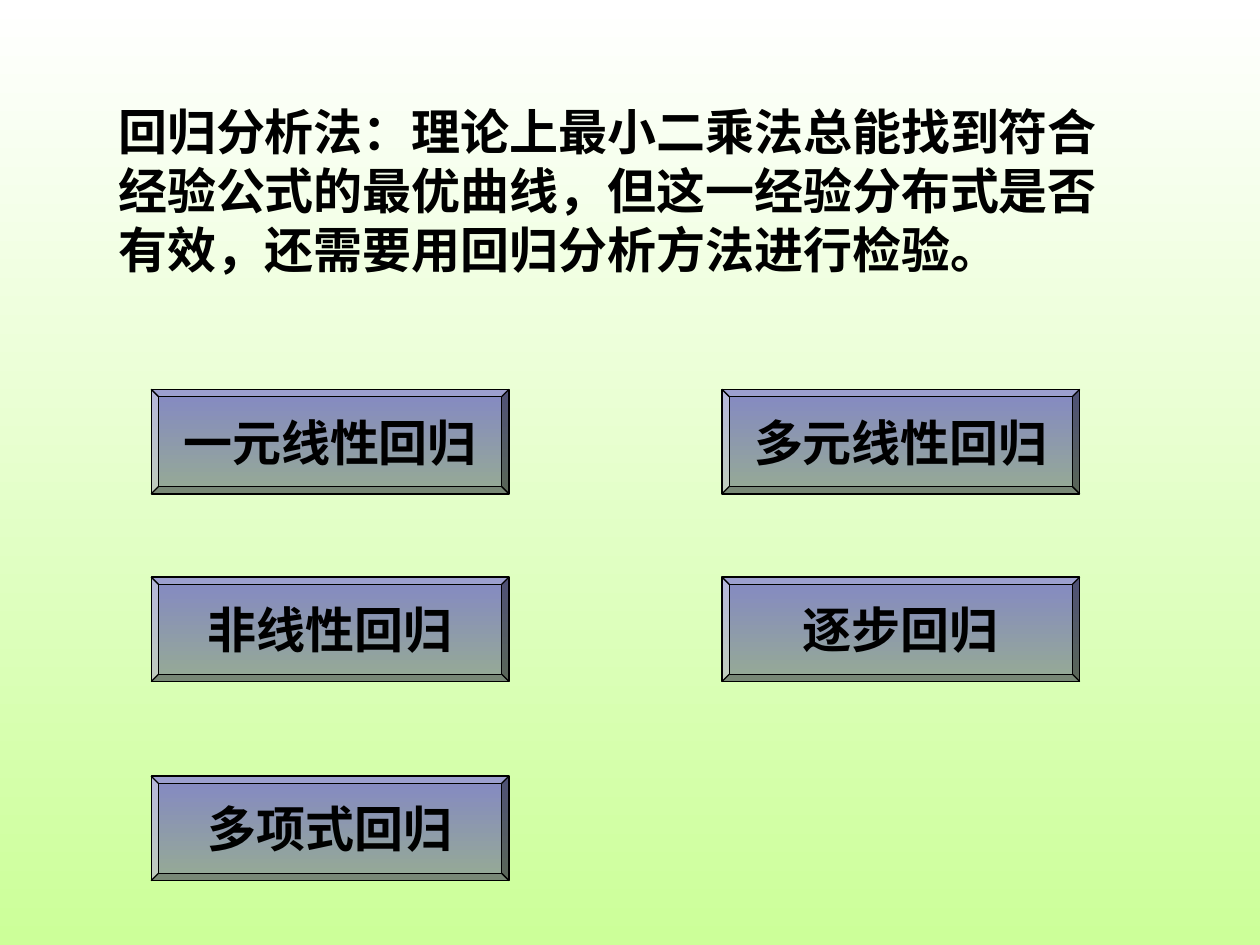
import pptx
import pptx.dml.color
import pptx.enum.shapes
import pptx.enum.text
import pptx.util
from pptx.util import Inches

RGBColor = pptx.dml.color.RGBColor
BLACK = RGBColor(0x00, 0x00, 0x00)
PAGE_COLORS = RGBColor(0xFF, 0xFF, 0xFF), RGBColor(0xCC, 0xFF, 0x99)
BUTTON_COLORS = RGBColor(0x84, 0x88, 0xC4), RGBColor(0x96, 0xAB, 0x94)

INTRODUCTION = (
    "回归分析法：理论上最小二乘法总能找到符合经验公式的最优曲线，"
    "但这一经验分布式是否有效，还需要用回归分析方法进行检验。"
)
METHOD_ROWS = [
    (3.09, ["一元线性回归", "多元线性回归"]),
    (4.58, ["非线性回归", "逐步回归"]),
    (6.16, ["多项式回归"]),
]
COLUMN_LEFTS = [1.2, 5.73]
BUTTON_WIDTH, BUTTON_HEIGHT = 2.84, 0.83
BEVEL_DEPTH = 0.07


def fill_downward(fill, colors):
    """Apply a gradient running from the first color at the top to the last."""
    fill.gradient()
    fill.gradient_angle = 270
    for stop, color in zip(fill.gradient_stops, colors):
        stop.color.rgb = color


def add_bold_text(paragraph, text, font_name):
    run = paragraph.add_run()
    run.text = text
    run.font.name = font_name
    run.font.size = pptx.util.Pt(28)
    run.font.bold = True
    run.font.color.rgb = BLACK


def add_introduction(slide):
    box = slide.shapes.add_textbox(Inches(0.84), Inches(0.76), Inches(8.23), Inches(1.5))
    box.text_frame.word_wrap = True
    add_bold_text(box.text_frame.paragraphs[0], INTRODUCTION, "Noto Sans CJK SC")


def add_button(slide, label, left, top):
    button = slide.shapes.add_shape(
        pptx.enum.shapes.MSO_SHAPE.BEVEL,
        Inches(left), Inches(top), Inches(BUTTON_WIDTH), Inches(BUTTON_HEIGHT),
    )
    button.adjustments[0] = BEVEL_DEPTH
    button.shadow.inherit = False
    fill_downward(button.fill, BUTTON_COLORS)
    button.line.color.rgb = BLACK
    button.line.width = pptx.util.Pt(0.75)
    frame = button.text_frame
    frame.word_wrap = False
    frame.vertical_anchor = pptx.enum.text.MSO_ANCHOR.MIDDLE
    paragraph = frame.paragraphs[0]
    paragraph.alignment = pptx.enum.text.PP_ALIGN.CENTER
    add_bold_text(paragraph, label, "Times New Roman")


def main():
    presentation = pptx.Presentation()
    presentation.slide_width = Inches(10)
    presentation.slide_height = Inches(7.5)
    slide = presentation.slides.add_slide(presentation.slide_layouts[6])
    fill_downward(slide.background.fill, PAGE_COLORS)
    add_introduction(slide)
    for top, labels in METHOD_ROWS:
        for left, label in zip(COLUMN_LEFTS, labels):
            add_button(slide, label, left, top)
    presentation.save("out.pptx")


if __name__ == "__main__":
    main()
